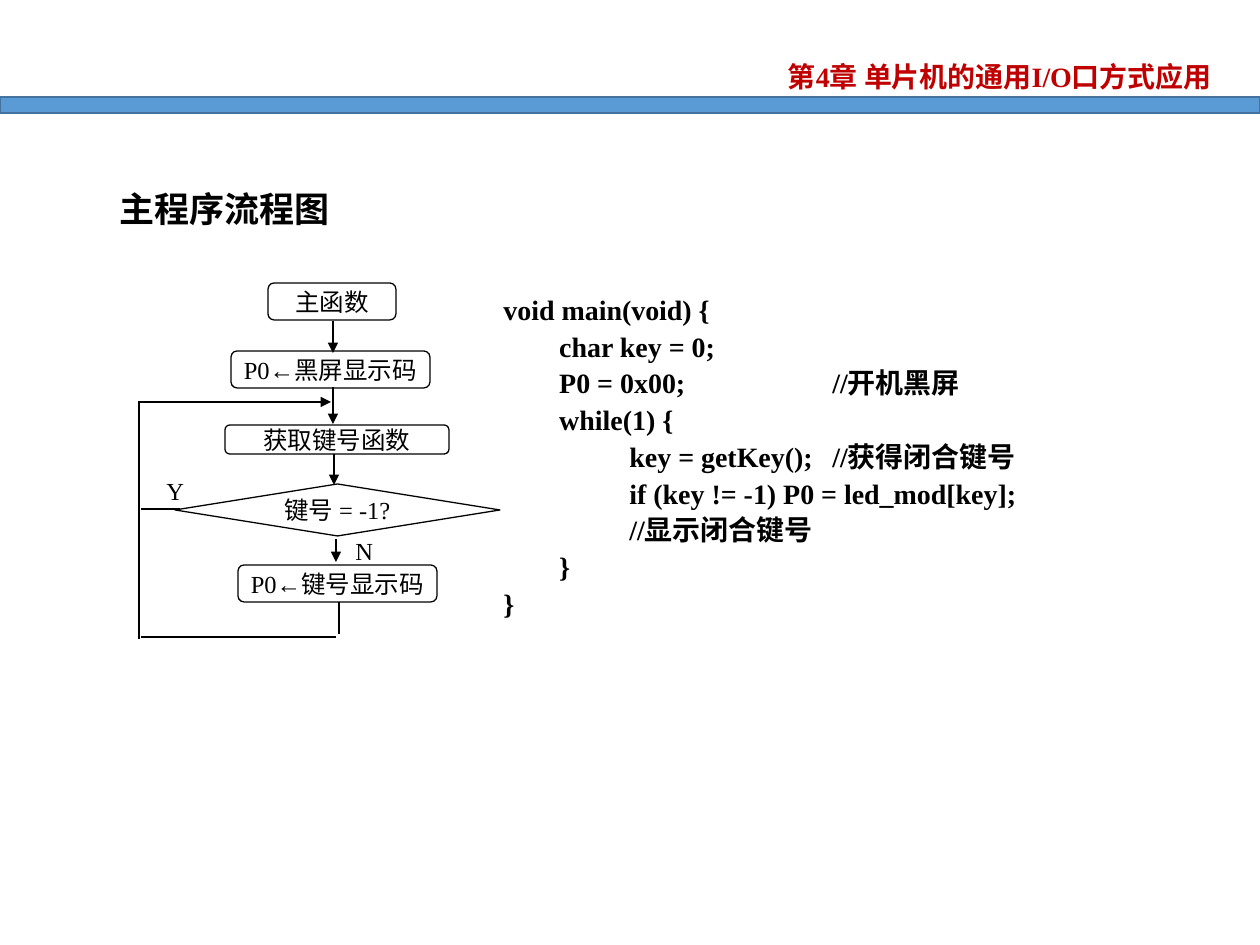
from typing import NamedTuple

from lxml.etree import SubElement
from pptx import Presentation
from pptx.dml.color import RGBColor
from pptx.enum.shapes import MSO_CONNECTOR, MSO_SHAPE
from pptx.enum.text import MSO_ANCHOR, PP_ALIGN
from pptx.oxml.ns import qn
from pptx.util import Emu, Pt

PX_PER_INCH = 126
FONT = "Times New Roman"
BLACK = RGBColor(0x00, 0x00, 0x00)
RED = RGBColor(0xC0, 0x00, 0x00)
BAND_BLUE = RGBColor(0x5B, 0x9B, 0xD5)
BAND_EDGE = RGBColor(0x43, 0x73, 0x9E)
PROCESS = MSO_SHAPE.FLOWCHART_ALTERNATE_PROCESS
DECISION = MSO_SHAPE.FLOWCHART_DECISION


class Step(NamedTuple):
    text: str
    left: int
    top: int
    width: int
    height: int
    outline: MSO_SHAPE = PROCESS


class Flow(NamedTuple):
    x1: int
    y1: int
    x2: int
    y2: int
    arrow: bool = True


class Label(NamedTuple):
    text: str
    left: int
    top: int
    width: int
    height: int
    size: int
    bold: bool = True
    color: RGBColor = BLACK
    align: PP_ALIGN = PP_ALIGN.LEFT
    anchor: MSO_ANCHOR = MSO_ANCHOR.TOP


STEPS = [
    Step("主函数", 268, 283, 128, 37),
    Step("P0←黑屏显示码", 231, 351, 199, 37),
    Step("获取键号函数", 225, 425, 224, 29),
    Step("键号 = -1?", 175, 484, 325, 52, DECISION),
    Step("P0←键号显示码", 238, 565, 199, 37),
]

FLOWS = [
    Flow(333, 321, 333, 353),
    Flow(333, 387, 333, 424),
    Flow(334, 454, 334, 485),
    Flow(336, 539, 336, 562),
    # Loop back to the key scan
    Flow(138, 402, 331, 402),
    Flow(180, 509, 141, 509, arrow=False),
    Flow(139, 403, 139, 639, arrow=False),
    Flow(339, 602, 339, 634, arrow=False),
    Flow(141, 637, 336, 637, arrow=False),
]

LABELS = [
    Label("第4章 单片机的通用I/O口方式应用", 740, 53, 484, 47, 16,
          color=RED, align=PP_ALIGN.RIGHT),
    Label("主程序流程图", 107, 181, 451, 55, 20, anchor=MSO_ANCHOR.MIDDLE),
    Label("Y", 154, 470, 44, 39, 14, bold=False),
    Label("N", 343, 530, 44, 39, 14, bold=False),
]

CODE = Label("""\
void main(void) {
        char key = 0;
        P0 = 0x00;\t//开机黑屏
        while(1) {
\tkey = getKey();\t//获得闭合键号
\tif (key != -1) P0 = led_mod[key];
\t//显示闭合键号
        }
}""", 491, 283, 727, 344, 16)
CODE_TABS = (126, 329)  # loop body, trailing comments


def px(length: int) -> Emu:
    return Emu(round(length * 914400 / PX_PER_INCH))


def add_step(shapes, step: Step) -> None:
    box = shapes.add_shape(step.outline, *map(px, step[1:5]))
    box.shadow.inherit = False
    box.fill.background()
    box.line.color.rgb = BLACK
    box.line.width = Pt(0.75)
    frame = box.text_frame
    frame.word_wrap = False
    frame.vertical_anchor = MSO_ANCHOR.MIDDLE
    paragraph = frame.paragraphs[0]
    paragraph.text = step.text
    paragraph.alignment = PP_ALIGN.CENTER
    set_font(paragraph.font, 14, False, BLACK)


def add_flow(shapes, flow: Flow) -> None:
    line = shapes.add_connector(MSO_CONNECTOR.STRAIGHT, *map(px, flow[:4]))
    line.line.color.rgb = BLACK
    line.line.width = Pt(0.75)
    if flow.arrow:
        SubElement(line.line._get_or_add_ln(), qn("a:tailEnd"), type="triangle")
    SubElement(line._element.spPr, qn("a:effectLst"))


def set_font(font, size: int, bold: bool, color: RGBColor) -> None:
    font.name = FONT
    font.size = Pt(size)
    font.bold = bold
    font.color.rgb = color


def add_label(shapes, label: Label, line_spacing: Pt | None = None,
              tabs: tuple[int, ...] = ()) -> None:
    frame = shapes.add_textbox(*map(px, label[1:5])).text_frame
    frame.word_wrap = True
    frame.vertical_anchor = label.anchor
    frame.text = label.text
    for paragraph in frame.paragraphs:
        paragraph.alignment = label.align
        paragraph.line_spacing = line_spacing
        if tabs:
            tab_list = SubElement(paragraph._p.get_or_add_pPr(), qn("a:tabLst"))
            for stop in tabs:
                SubElement(tab_list, qn("a:tab"), pos=str(px(stop)), algn="l")
        set_font(paragraph.font, label.size, label.bold, label.color)


def main() -> None:
    presentation = Presentation()
    presentation.slide_width = px(1260)
    presentation.slide_height = px(945)
    shapes = presentation.slides.add_slide(presentation.slide_layouts[6]).shapes

    # Header band
    band = shapes.add_shape(MSO_SHAPE.RECTANGLE, *map(px, (0, 97, 1260, 16)))
    band.shadow.inherit = False
    band.fill.solid()
    band.fill.fore_color.rgb = BAND_BLUE
    band.line.color.rgb = BAND_EDGE
    band.line.width = Pt(1)

    # Flowchart
    for step in STEPS:
        add_step(shapes, step)
    for flow in FLOWS:
        add_flow(shapes, flow)

    # Headings, branch labels and program listing
    for label in LABELS:
        add_label(shapes, label)
    add_label(shapes, CODE, Pt(21), CODE_TABS)

    presentation.save("out.pptx")


if __name__ == "__main__":
    main()
